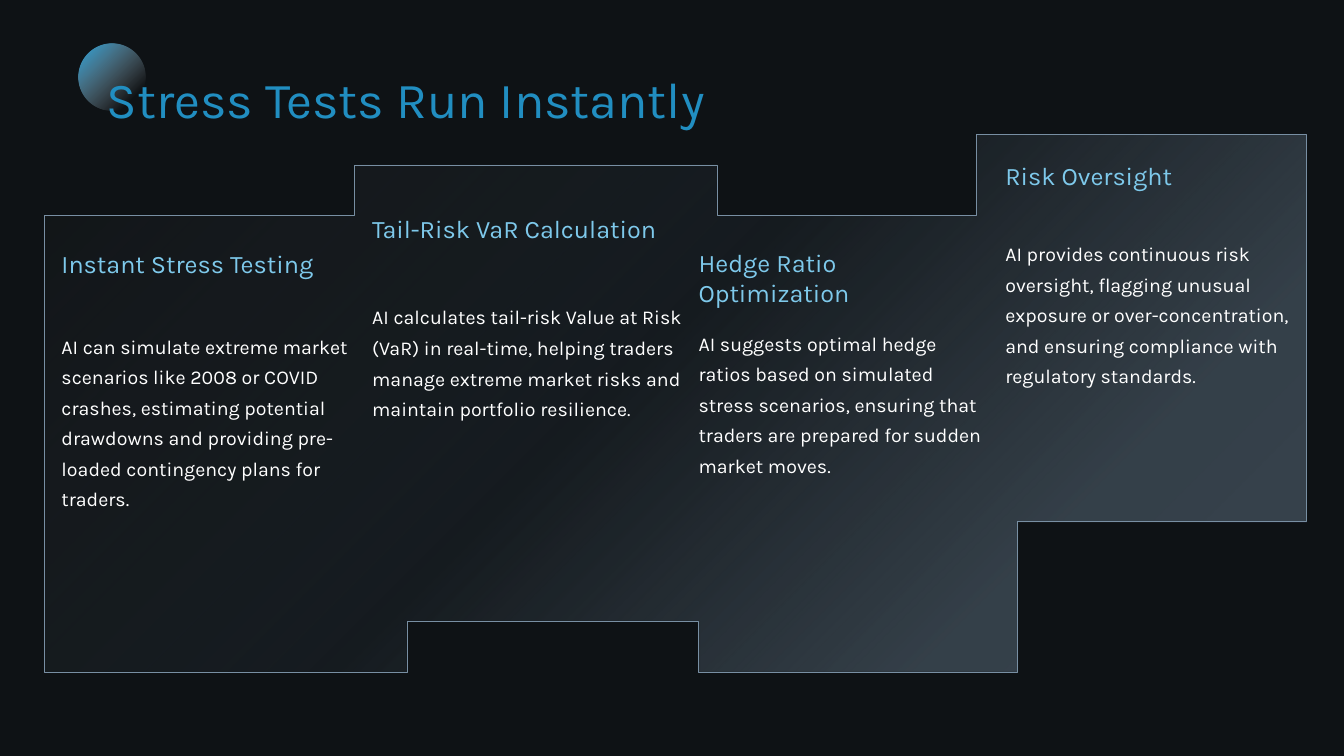
from dataclasses import dataclass

from lxml import etree
from pptx import Presentation
from pptx.dml.color import RGBColor
from pptx.enum import shapes, text
from pptx.oxml.ns import qn
from pptx.util import Pt


@dataclass(frozen=True)
class Theme:
    font: str = "Karla"
    background: str = "0E1215"
    title: str = "218EC1"
    heading: str = "7EC9EB"
    body: str = "FFFFFF"
    outline: str = "788FA3"
    title_size: int = 36
    heading_size: int = 18
    body_size: int = 14
    # Gradient stops: position %, colour, opacity %
    panel_stops: tuple = ((0, "788FA3", 39), (22, "788FA3", 36),
                          (54, "788FA3", 7), (100, "232322", 15))
    circle_stops: tuple = ((0, "28A4DE", 100), (81, "C5C9CE", 0),
                           (100, "C5C9CE", 0))


theme = Theme()


def fill_gradient(shape, stops, clockwise_angle):
    """Fill with any number of translucent stops."""
    shape.fill.gradient()
    shape.fill.gradient_angle = 360 - clockwise_angle
    stop_list = shape._element.spPr.find(qn("a:gradFill")).find(qn("a:gsLst"))
    for old_stop in list(stop_list):
        stop_list.remove(old_stop)
    for position, color, opacity in stops:
        stop = etree.SubElement(stop_list, qn("a:gs"), pos=str(position * 1000))
        rgb = etree.SubElement(stop, qn("a:srgbClr"), val=color)
        etree.SubElement(rgb, qn("a:alpha"), val=str(opacity * 1000))


def add_text(words, left, top, width, height, *, size, color, spacing=1.0, inset=3.6):
    box = slide.shapes.add_textbox(Pt(left), Pt(top), Pt(width), Pt(height))
    frame = box.text_frame
    frame.word_wrap = True
    frame.auto_size = text.MSO_AUTO_SIZE.SHAPE_TO_FIT_TEXT
    frame.margin_left = frame.margin_right = Pt(inset)
    frame.margin_top = frame.margin_bottom = Pt(inset)
    para = frame.paragraphs[0]
    para.line_spacing = spacing
    span = para.add_run()
    span.text = words
    span.font.name = theme.font
    span.font.size = Pt(size)
    span.font.color.rgb = RGBColor.from_string(color)


deck = Presentation()
deck.slide_width, deck.slide_height = Pt(960), Pt(540)
slide = deck.slides.add_slide(deck.slide_layouts[6])
slide.background.fill.solid()
slide.background.fill.fore_color.rgb = RGBColor.from_string(theme.background)

# Stepped panel behind the four columns
corners = [(31.7, 154.2), (253.2, 154.2), (253.2, 117.8), (512.2, 117.8),
           (512.2, 154.2), (697.6, 154.2), (697.6, 96), (933.2, 96),
           (933.2, 372.6), (726.8, 372.6), (726.8, 480.2), (498.8, 480.2),
           (498.8, 443.8), (290.9, 443.8), (290.9, 480.2), (31.7, 480.2)]
outline = [(Pt(x), Pt(y)) for x, y in corners]
builder = slide.shapes.build_freeform(*outline[0])
builder.add_line_segments(outline[1:], close=True)
panel = builder.convert_to_shape()
panel.shadow.inherit = False
fill_gradient(panel, theme.panel_stops, 225)
panel.line.color.rgb = RGBColor.from_string(theme.outline)
panel.line.width = Pt(0.5)

circle = slide.shapes.add_shape(shapes.MSO_SHAPE.OVAL, Pt(56), Pt(31.5), Pt(47.7), Pt(47.7))
circle.shadow.inherit = False
fill_gradient(circle, theme.circle_stops, 45)
circle.line.fill.background()

add_text("Stress Tests Run Instantly", 76.3, 40.3, 828.7, 51.8,
         size=theme.title_size, color=theme.title, spacing=1.2, inset=0)

# Left, width, heading top and height, body top and height, heading, body
columns = [
    (40.3, 212.4, 173.5, 22.3, 230.4, 135.4, "Instant Stress Testing",
     "AI can simulate extreme market scenarios like 2008 or COVID crashes, "
     "estimating potential drawdowns and providing pre-loaded contingency "
     "plans for traders."),
    (262.2, 229, 149, 22.3, 209.5, 90, "Tail-Risk VaR Calculation",
     "AI calculates tail-risk Value at Risk (VaR) in real-time, helping "
     "traders manage extreme market risks and maintain portfolio resilience."),
    (495.4, 216.4, 172.8, 46.8, 228.2, 112.3, "Hedge Ratio Optimization",
     "AI suggests optimal hedge ratios based on simulated stress scenarios, "
     "ensuring that traders are prepared for sudden market moves."),
    (714.5, 212.4, 110.9, 22.3, 164.2, 135.4, "Risk Oversight",
     "AI provides continuous risk oversight, flagging unusual exposure or "
     "over-concentration, and ensuring compliance with regulatory standards."),
]
for left, width, heading_top, heading_height, body_top, body_height, heading, body in columns:
    add_text(heading, left, heading_top, width, heading_height,
             size=theme.heading_size, color=theme.heading)
    add_text(body, left, body_top, width, body_height,
             size=theme.body_size, color=theme.body, spacing=1.3)

deck.save("out.pptx")
